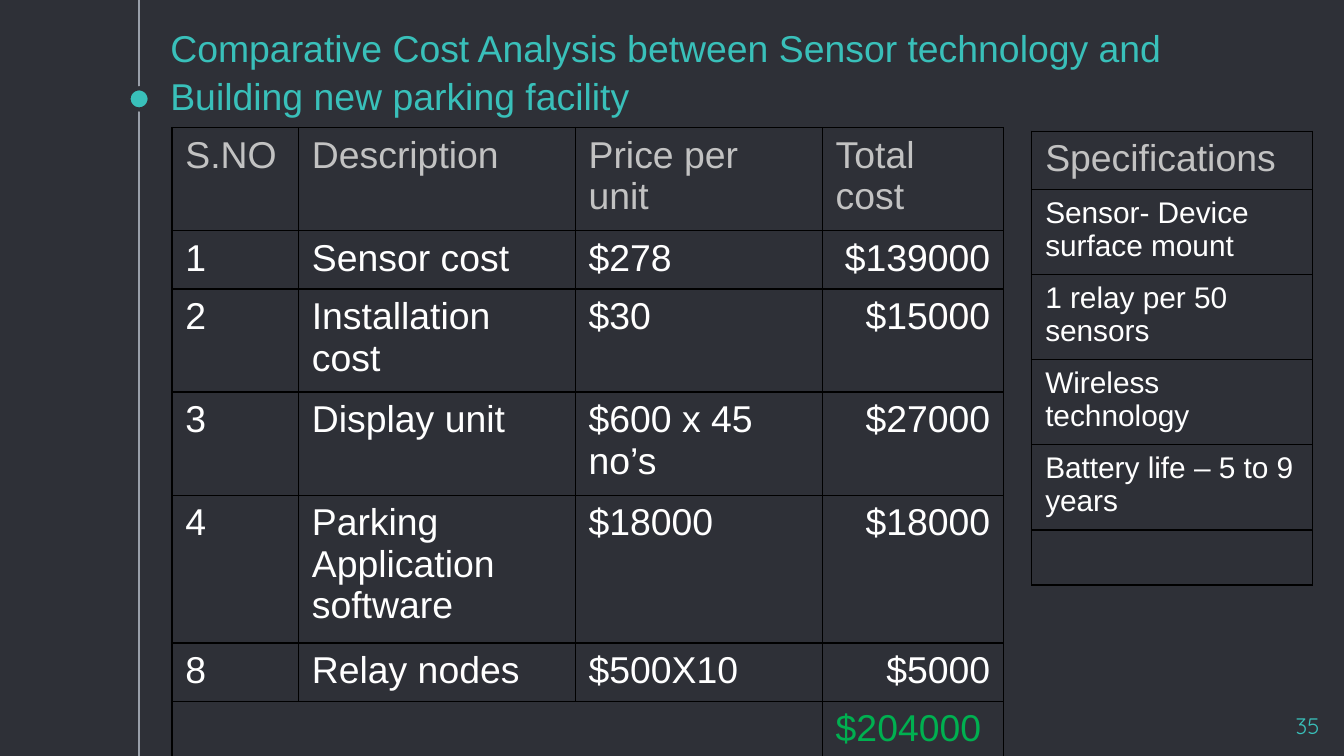
"""Build the parking cost comparison slide."""
import pptx
import pptx.dml.color
import pptx.enum.shapes
import pptx.enum.text
import pptx.oxml
import pptx.oxml.ns
import pptx.util

Cm = pptx.util.Cm
Pt = pptx.util.Pt
RGBColor = pptx.dml.color.RGBColor
Align = pptx.enum.text.PP_ALIGN
Anchor = pptx.enum.text.MSO_ANCHOR

DARK = RGBColor(0x2E, 0x30, 0x37)
TEAL = RGBColor(0x39, 0xC0, 0xBA)
GREY = RGBColor(0x99, 0x9F, 0xA9)
SILVER = RGBColor(0xC2, 0xC2, 0xC2)
WHITE = RGBColor(0xFF, 0xFF, 0xFF)
GREEN = RGBColor(0x00, 0xB0, 0x50)
BLACK = RGBColor(0x00, 0x00, 0x00)


def write(frame, text, size, color, align=Align.LEFT, face="Arial"):
    par = frame.paragraphs[0]
    par.alignment = align
    run = par.add_run()
    run.text = text
    run.font.name = face
    run.font.size = Pt(size)
    run.font.color.rgb = color
    return par


def grid(left, top, widths, count):
    size = [Cm(n) for n in (left, top, sum(widths), 1.04 * count)]
    table = slide.shapes.add_table(count, len(widths), *size).table
    table.first_row = False
    table.horz_banding = False
    for col, width in zip(table.columns, widths):
        col.width = Cm(width)
    for row in table.rows:
        row.height = Cm(1.04)
    for cell in table.iter_cells():
        props = cell._tc.get_or_add_tcPr()
        for side in ("lnL", "lnR", "lnT", "lnB"):
            props.append(pptx.oxml.parse_xml(
                f'<a:{side} {pptx.oxml.ns.nsdecls("a")} w="{Pt(0.75)}">'
                f'<a:solidFill><a:srgbClr val="{BLACK}"/></a:solidFill></a:{side}>'))
        cell.fill.background()
    return table


deck = pptx.Presentation()
deck.slide_width = Cm(25.4)
deck.slide_height = Cm(14.29)
slide = deck.slides.add_slide(deck.slide_layouts[6])
slide.background.fill.solid()
slide.background.fill.fore_color.rgb = DARK

line = slide.shapes.add_connector(
    pptx.enum.shapes.MSO_CONNECTOR.STRAIGHT, Cm(2.63), 0, Cm(2.63), deck.slide_height)
line.line.color.rgb = GREY
line.line.width = Pt(0.75)
line._element.spPr.append(pptx.oxml.parse_xml(
    f'<a:effectLst {pptx.oxml.ns.nsdecls("a")}/>'))

dot = slide.shapes.add_shape(
    pptx.enum.shapes.MSO_SHAPE.OVAL, Cm(2.43), Cm(1.67), Cm(0.4), Cm(0.4))
dot.shadow.inherit = False
dot.fill.solid()
dot.fill.fore_color.rgb = TEAL
dot.line.color.rgb = DARK
dot.line.width = Pt(2.25)

labels = [
    ((2.97, 1.45, 19.46, 1.04), Anchor.BOTTOM, 1.08,
     "Comparative Cost Analysis between Sensor technology and Building new parking facility",
     20, Align.LEFT, "Arial"),
    ((23.67, 13.21, 1.52, 0.86), Anchor.TOP, 1.0, "35", 12, Align.RIGHT, "Quicksand"),
]
for place, anchor, space, text, size, align, face in labels:
    frame = slide.shapes.add_textbox(*[Cm(n) for n in place]).text_frame
    frame.word_wrap = True
    frame.vertical_anchor = anchor
    frame.margin_left = frame.margin_right = Cm(0.25)
    frame.margin_top = frame.margin_bottom = Cm(0.25)
    write(frame, text, size, TEAL, align, face).line_spacing = space

costs = [
    ("S.NO", "Description", "Price per unit", "Total cost"),
    ("1", "Sensor cost", "$278", "$139000"),
    ("2", "Installation cost", "$30", "$15000"),
    ("3", "Display unit", "$600 x 45 no’s", "$27000"),
    ("4", "Parking Application software", "$18000", "$18000"),
    ("8", "Relay nodes", "$500X10", "$5000"),
]
last = len(costs)
table = grid(3.25, 2.41, [2.39, 5.23, 4.67, 3.43], last + 1)
for r, row in enumerate(costs):
    for c, text in enumerate(row):
        align = Align.RIGHT if r and c == 3 else Align.LEFT
        write(table.cell(r, c).text_frame, text, 20, WHITE if r else SILVER, align)
table.cell(last, 0).merge(table.cell(last, 2))
write(table.cell(last, 3).text_frame, "$204000", 20, GREEN)

specs = [
    "Specifications",
    "Sensor- Device surface mount",
    "1 relay per 50 sensors",
    "Wireless technology",
    "Battery life – 5 to 9 years",
]
table = grid(19.5, 2.48, [5.31], len(specs) + 1)
for r, text in enumerate(specs):
    size, color = (16, WHITE) if r else (20, SILVER)
    write(table.cell(r, 0).text_frame, text, size, color)

deck.save("out.pptx")
